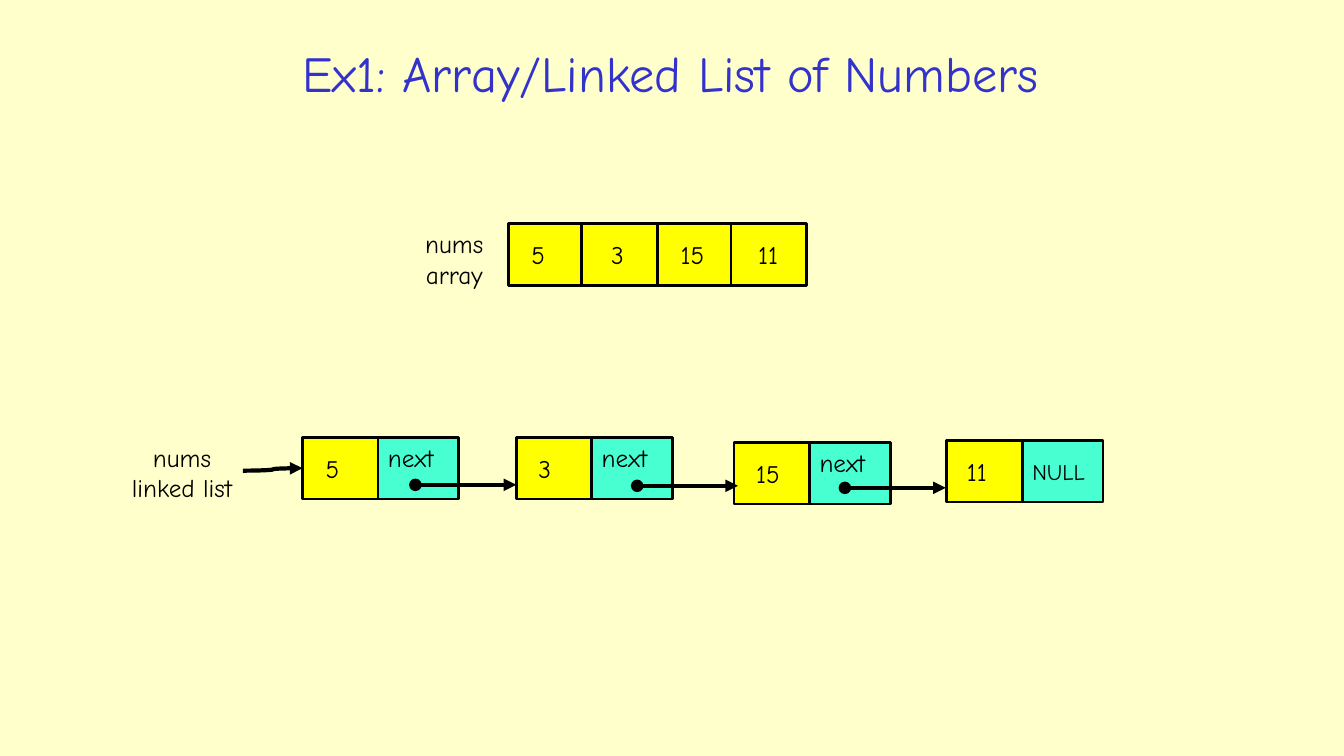
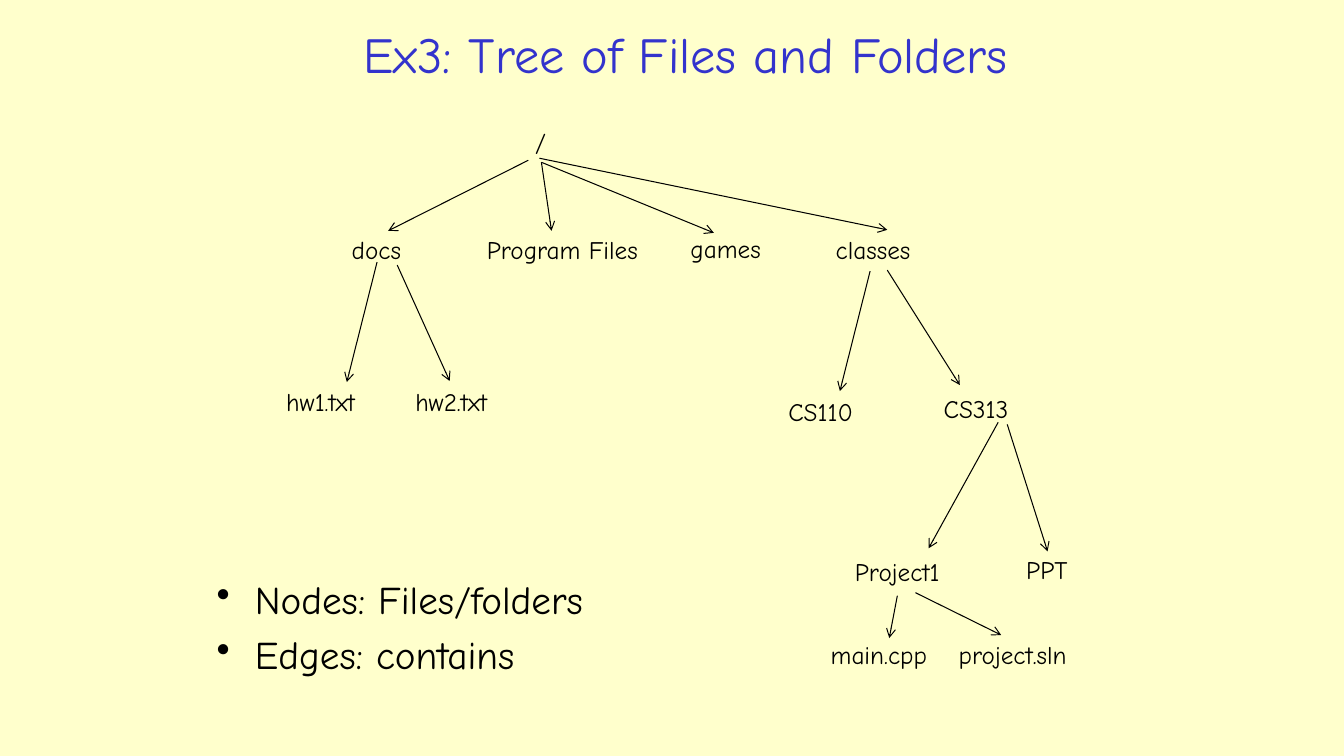
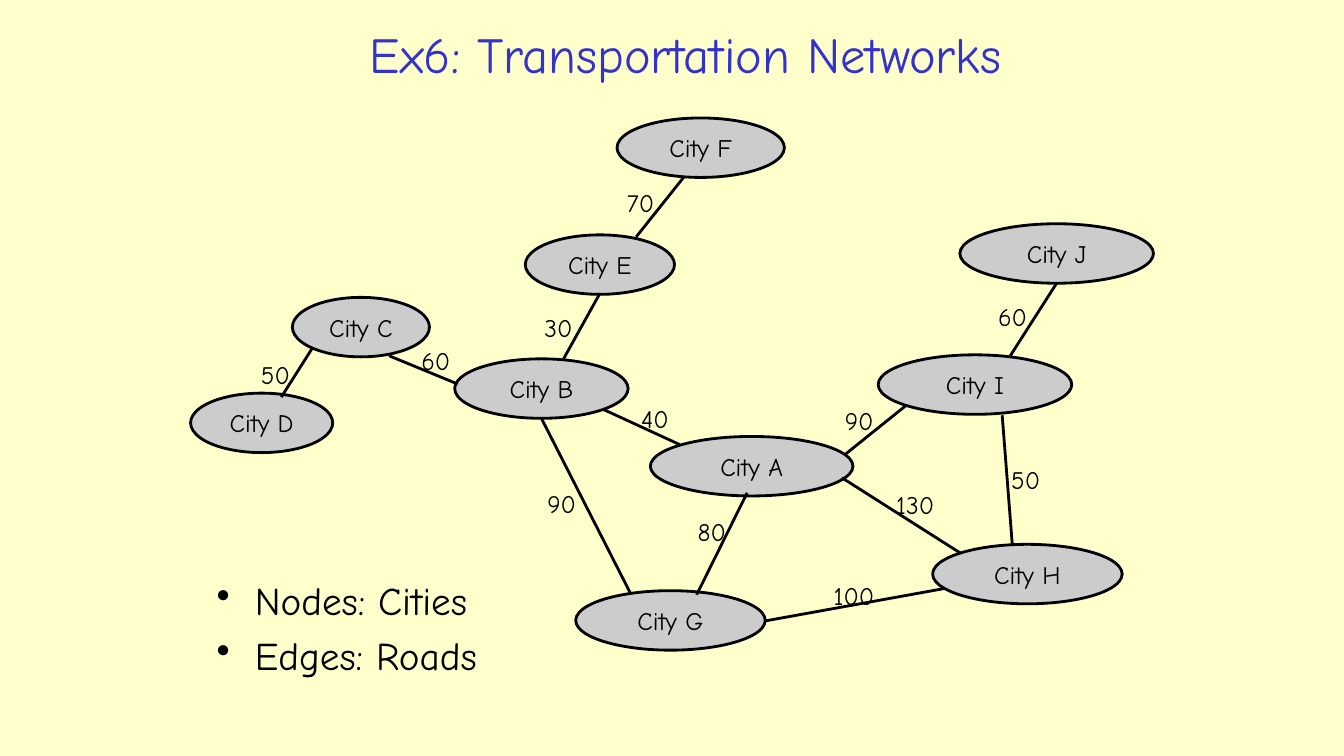
from lxml import etree
from pptx import Presentation, util as u
from pptx.dml.color import RGBColor
from pptx.enum import shapes, text
from pptx.oxml.ns import qn

CREAM = RGBColor(0xFF, 0xFF, 0xCC)
BLUE = RGBColor(0x33, 0x33, 0xCC)
BLACK = RGBColor(0, 0, 0)
YELLOW = RGBColor(0xFF, 0xFF, 0)
MINT = RGBColor(0x47, 0xFF, 0xD1)
GRAY = RGBColor(0xCC, 0xCC, 0xCC)

FONT = "Comic Neue"
LEFT, MID = text.PP_ALIGN.LEFT, text.PP_ALIGN.CENTER
TOP, CORE = text.MSO_ANCHOR.TOP, text.MSO_ANCHOR.MIDDLE
RECT, OVAL = shapes.MSO_SHAPE.RECTANGLE, shapes.MSO_SHAPE.OVAL
LINE, CURVE = shapes.MSO_CONNECTOR.STRAIGHT, shapes.MSO_CONNECTOR.CURVE

TITLE = (2.21, 0.15, 9.18, 0.76)

ARRAY = [("5", 0, 0.23), ("3", 0.73, 0.29), ("15", 1.48, 0.23), ("11", 2.21, 0.27)]
LINKS = [
    ("5", 1.87, 0, 0.23, (1.12, 0.47)),
    ("3", 3.99, 0, 0.22, (1.2, 0.48)),
    ("15", 6.15, 0.05, 0.22, (1.1, 0.45)),
    ("11", 8.26, 0.03, 0.2, None),
]

FILES = [
    ("/", 2.71, 0.2, 0.31),
    ("docs", 0.89, 1.28, 0.82),
    ("Program Files", 2.23, 1.28, 1.8),
    ("games", 4.25, 1.27, 0.99),
    ("classes", 5.69, 1.28, 1.22),
    ("CS110", 5.22, 2.88, 1.23),
    ("CS313", 6.76, 2.85, 1.22),
    ("PPT", 7.58, 4.45, 0.65),
    ("Project1", 5.88, 4.47, 1.39),
    ("hw1.txt", 0.24, 2.78, 1.21),
    ("hw2.txt", 1.52, 2.78, 1.15),
    ("main.cpp", 5.64, 5.29, 1.25),
    ("project.sln", 6.91, 5.29, 1.55),
]
EDGES = [
    (2.74, 0.59, 1.35, 1.29),
    (2.87, 0.61, 2.97, 1.29),
    (2.87, 0.61, 4.58, 1.31),
    (2.85, 0.57, 6.3, 1.28),
    (6.13, 1.69, 5.83, 2.88),
    (6.3, 1.68, 7.02, 2.82),
    (1.24, 1.6, 0.94, 2.79),
    (1.44, 1.63, 1.96, 2.78),
    (7.49, 3.21, 7.89, 4.47),
    (7.4, 3.19, 6.71, 4.44),
    (6.4, 4.91, 6.32, 5.33),
    (6.58, 4.88, 7.43, 5.3),
]

CITIES = [
    ("A", 4.95, 3.33, 2.01),
    ("B", 3.01, 2.56, 1.72),
    ("C", 1.4, 1.95, 1.36),
    ("D", 0.39, 2.9, 1.41),
    ("E", 3.71, 1.33, 1.48),
    ("F", 4.62, 0.17, 1.66),
    ("G", 4.21, 4.86, 1.88),
    ("H", 7.75, 4.4, 1.88),
    ("I", 7.21, 2.52, 1.92),
    ("J", 8.02, 1.22, 1.92),
]
ROADS = [
    ("40", (4.48, 3.06, 5.24, 3.41), 4.76, 2.95),
    ("90", (6.88, 3.51, 7.49, 3.02), 6.78, 2.97),
    ("30", (4.09, 2.56, 4.45, 1.91), 3.8, 2.05),
    ("70", (4.81, 1.35, 5.28, 0.76), 4.62, 0.81),
    ("60", (2.36, 2.53, 3.04, 2.81), 2.58, 2.38),
    ("80", (5.41, 4.9, 5.91, 3.89), 5.32, 4.07),
    ("100", (6.09, 5.16, 7.86, 4.84), 6.67, 4.71),
    ("130", (6.85, 3.74, 8.03, 4.49), 7.29, 3.81),
    ("50", (8.44, 3.12, 8.54, 4.4), 8.43, 3.56),
    ("60", (8.52, 2.53, 8.98, 1.81), 8.3, 1.94),
    ("90", (3.87, 3.15, 4.75, 4.88), 3.83, 3.8),
    ("50", (1.6, 2.45, 1.29, 2.94), 0.99, 2.52),
]


def put(item, vals):
    """Set every attribute in a dict of format values."""
    for key, val in vals.items():
        setattr(item, key, val)


def span(*nums):
    """Turn numbers into lengths."""
    return [u.Inches(num) for num in nums]


def write(shape, lines, size=18, color=BLACK, align=LEFT, **frame):
    """Write one paragraph per line into a shape."""
    body = shape.text_frame
    put(body, {"word_wrap": True, "vertical_anchor": TOP, **frame})
    body.text = "\n".join(lines)
    for para in body.paragraphs:
        para.alignment = align
        put(para.runs[0].font, {"name": FONT, "size": u.Pt(size)})
        para.runs[0].font.color.rgb = color
    return body


def label(slide, box, *lines, **style):
    """Add a text box."""
    return write(slide.shapes.add_textbox(*span(*box)), lines, **style)


def block(slide, kind, box, fill, word, **style):
    """Add a filled, outlined shape with its text."""
    shape = slide.shapes.add_shape(kind, *span(*box))
    shape.shadow.inherit = False
    shape.fill.solid()
    shape.fill.fore_color.rgb = fill
    shape.line.color.rgb = BLACK
    shape.line.width = u.Pt(2)
    write(shape, [word], **style)
    return shape


def join(slide, ends, width, head=None, tail=None, kind=LINE):
    """Add a line with optional ends."""
    line = slide.shapes.add_connector(kind, *span(*ends))
    line.line.color.rgb = BLACK
    line.line.width = u.Pt(width)
    pen = line.line._get_or_add_ln()
    for tag, mark in (("a:headEnd", head), ("a:tailEnd", tail)):
        if mark:
            etree.SubElement(pen, qn(tag)).set("type", mark)
    etree.SubElement(line._element.spPr, qn("a:effectLst"))
    return line


def start(deck, title, box=TITLE):
    """Add a slide with its background and title."""
    slide = deck.slides.add_slide(deck.slide_layouts[6])
    slide.background.fill.solid()
    slide.background.fill.fore_color.rgb = CREAM
    label(slide, box, title, size=36, color=BLUE, align=MID, vertical_anchor=CORE)
    return slide


def points(slide, box, *lines):
    """Add the bullet list."""
    for para in label(slide, box, *lines, size=28).paragraphs:
        para.space_before = u.Pt(5.6)
        props = para._p.get_or_add_pPr()
        props.set("marL", str(u.Inches(0.38)))
        props.set("indent", str(u.Inches(-0.38)))
        etree.SubElement(props, qn("a:buChar")).set("char", "•")


def cell(slide, x, y, word, inset):
    """Add a yellow number cell."""
    return block(slide, RECT, (x, y, 0.75, 0.61), YELLOW, word,
                 vertical_anchor=CORE, margin_left=u.Inches(inset), margin_right=0)


def array(slide, x, y):
    """Draw the array and its label."""
    label(slide, (x, y, 0.85, 0.71), "nums", "array", align=MID)
    for word, dx, inset in ARRAY:
        cell(slide, x + 0.96 + dx, y, word, inset)


def chain(slide, x, y):
    """Draw the linked list and its label."""
    label(slide, (x, y, 1.35, 0.71), "nums", "linked list", align=MID)
    cells = []
    for word, dx, dy, inset, link in LINKS:
        left, top = x + dx, y + dy
        box = (left + 0.75, top, 0.8, 0.61)
        if link:
            block(slide, RECT, box, MINT, "next")
        else:
            block(slide, RECT, box, MINT, "NULL", size=16, vertical_anchor=CORE)
        cells.append(cell(slide, left, top, word, inset))
    for word, dx, dy, inset, link in LINKS:
        if link:
            left, top = x + dx + link[0], y + dy + link[1]
            join(slide, (left, top, left + 1, top), 3, "oval", "triangle")
    lead = join(slide, (x + 1.28, y + 0.33, x + 1.87, y + 0.31), 3,
                tail="triangle", kind=CURVE)
    lead.end_connect(cells[0], 1)


def shift(ends, x, y):
    """Move the two ends of a line by an offset."""
    return ends[0] + x, ends[1] + y, ends[2] + x, ends[3] + y


def tree(slide, x, y):
    """Draw the folder tree."""
    for word, dx, dy, width in FILES:
        label(slide, (x + dx, y + dy, width, 0.4), word)
    for ends in EDGES:
        join(slide, shift(ends, x, y), 0.75, tail="arrow")


def roads(slide, x, y):
    """Draw the cities, roads and distances."""
    for name, dx, dy, width in CITIES:
        block(slide, OVAL, (x + dx, y + dy, width, 0.59), GRAY, f"City {name}",
              align=MID, vertical_anchor=CORE)
    for miles, ends, dx, dy in ROADS:
        join(slide, shift(ends, x, y), 2)
        width = 0.29 + 0.11 * len(miles)
        label(slide, (x + dx, y + dy, width, 0.4), miles, word_wrap=False)


def main():
    """Build and save the deck."""
    deck = Presentation()
    put(deck, {"slide_width": u.Inches(13.33), "slide_height": u.Inches(7.5)})

    slide = start(deck, "Ex1: Array/Linked List of Numbers", (0.58, 0.34, 12.14, 0.76))
    array(slide, 4.08, 2.22)
    chain(slide, 1.13, 4.34)

    slide = start(deck, "Ex3: Tree of Files and Folders")
    points(slide, (2.05, 5.66, 5.05, 1.37), "Nodes: Files/folders", "Edges: contains")
    tree(slide, 2.5, 1)

    slide = start(deck, "Ex6: Transportation Networks")
    roads(slide, 1.5, 1)
    points(slide, (2.05, 5.67, 3.08, 1.36), "Nodes: Cities", "Edges: Roads")

    deck.save("out.pptx")


if __name__ == "__main__":
    main()
